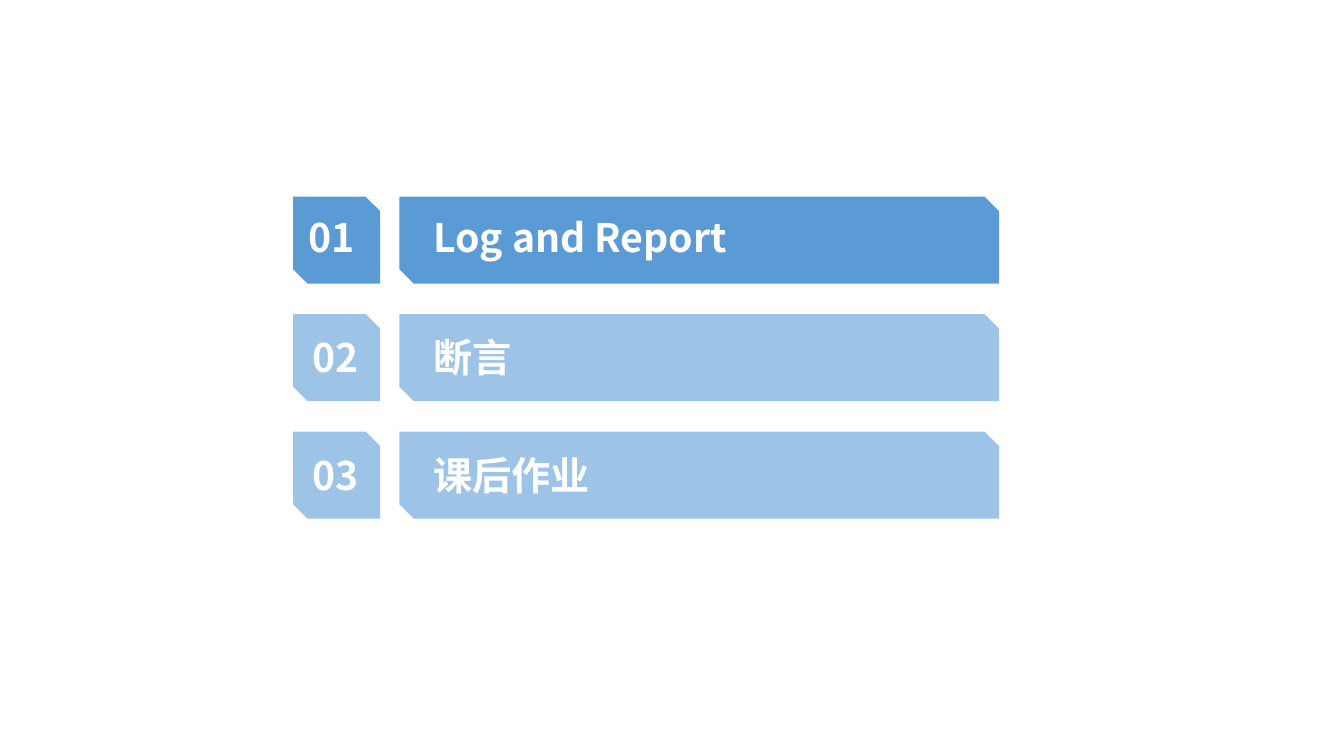
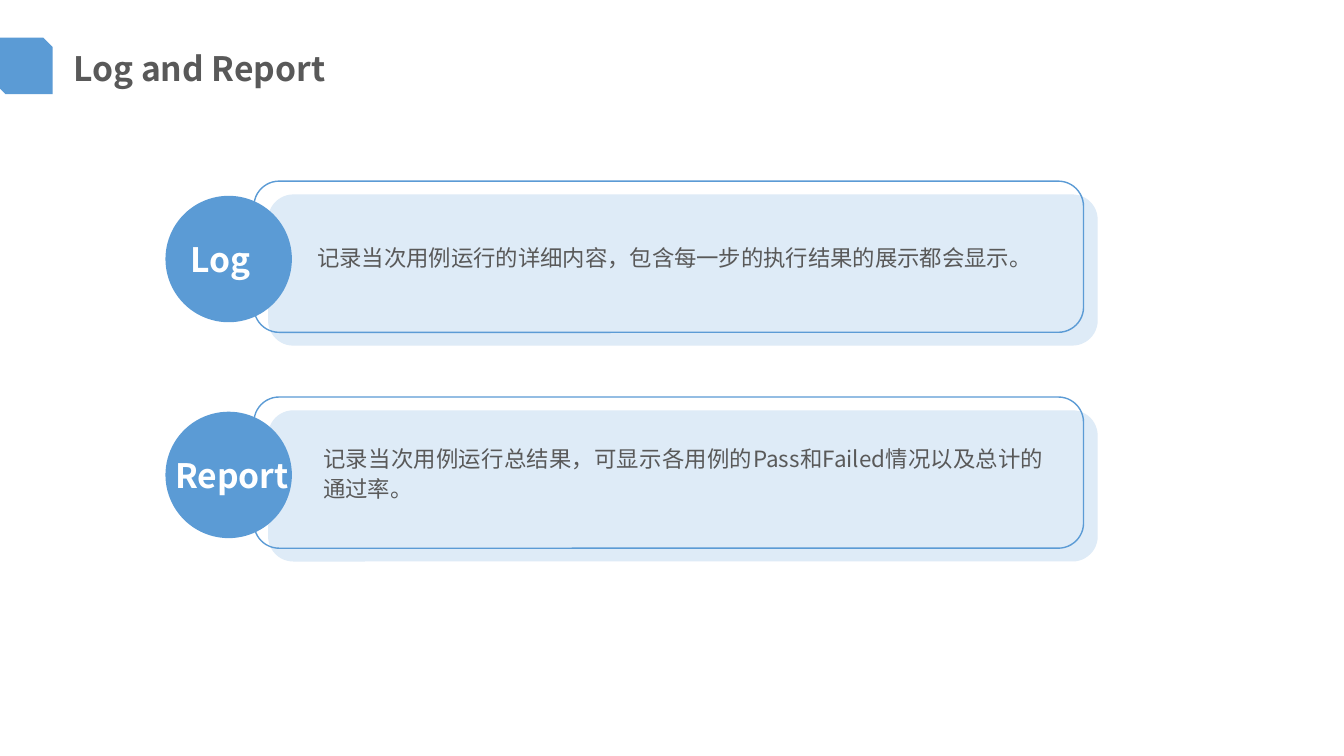
import pptx
import pptx.dml.color
import pptx.enum.shapes
import pptx.enum.text
import pptx.util
from lxml import etree

Pt = pptx.util.Pt
Shape = pptx.enum.shapes.MSO_SHAPE
Align = pptx.enum.text.PP_ALIGN
AutoSize = pptx.enum.text.MSO_AUTO_SIZE

FONT = "Noto Sans CJK SC"
COLORS = {
    "blue": "5B9BD5",
    "light": "9DC3E6",
    "pale": "DEEBF7",
    "gray": "595959",
    "white": "FFFFFF",
}


def color(name):
    return pptx.dml.color.RGBColor.from_string(COLORS[name])


def write(frame, text, size=16, ink="gray", bold=False, align=Align.LEFT, spacing=None):
    """Put one formatted paragraph into a text frame."""
    para = frame.paragraphs[0]
    para.alignment = align
    if spacing:
        para.line_spacing = spacing
    span = para.add_run()
    span.text = text
    span.font.name = FONT
    span.font.size = Pt(size)
    span.font.bold = bold
    span.font.color.rgb = color(ink)
    # Chinese characters take their font from a:ea
    properties = span.font._element
    latin = properties.find(pptx.oxml.ns.qn("a:latin"))
    east_asian = etree.Element(pptx.oxml.ns.qn("a:ea"), typeface=FONT)
    latin.addnext(east_asian)


class Slides:
    """Holds the deck, its style and the current page."""

    def __init__(self):
        self.deck = pptx.Presentation()
        self.deck.slide_width = Pt(960)
        self.deck.slide_height = Pt(540)
        self.page = None

    def new_page(self):
        self.page = self.deck.slides.add_slide(self.deck.slide_layouts[6])

    def shape(self, kind, left, top, width, height, fill=None, line=None):
        shape = self.page.shapes.add_shape(kind, Pt(left), Pt(top), Pt(width), Pt(height))
        shape.shadow.inherit = False
        if fill:
            shape.fill.solid()
            shape.fill.fore_color.rgb = color(fill)
        else:
            shape.fill.background()
        if line:
            shape.line.color.rgb = color(line)
            shape.line.width = Pt(1)
        else:
            shape.line.fill.background()

    def text(self, text, left, top, width, height, wrap=False, **style):
        box = self.page.shapes.add_textbox(Pt(left), Pt(top), Pt(width), Pt(height))
        box.text_frame.word_wrap = wrap
        box.text_frame.auto_size = AutoSize.SHAPE_TO_FIT_TEXT
        write(box.text_frame, text, **style)

    def title(self, text):
        self.shape(Shape.SNIP_2_DIAG_RECTANGLE, -2.8, 26.8, 40.4, 40.4, fill="blue")
        self.text(text, 45.4, 31, 201.6, 36, size=24, bold=True)

    def agenda_row(self, top, number, label, fill, number_left, text_top, label_width):
        for left, width in ((209.4, 62.2), (285.2, 428.4)):
            self.shape(Shape.SNIP_2_DIAG_RECTANGLE, left, top, width, 62.2, fill=fill)
        style = dict(size=28, ink="white", bold=True)
        self.text(number, number_left, text_top, 49, 41, **style)
        self.text(label, 302.4, text_top, label_width, 41, **style)

    def card(self, top, name, name_box, detail, detail_box):
        self.shape(Shape.ROUNDED_RECTANGLE, 191.5, top + 9.5, 592.6, 108, fill="pale")
        self.shape(Shape.OVAL, 118.2, top + 10.5, 90.3, 90.3, fill="blue")
        self.shape(Shape.ROUNDED_RECTANGLE, 181.4, top, 592.6, 108, line="blue")
        self.text(name, *name_box, wrap=True, size=24, ink="white", bold=True)
        self.text(detail, *detail_box, wrap=True, align=Align.JUSTIFY, spacing=1.1)


def main():
    slides = Slides()

    # Agenda
    slides.new_page()
    rows = [
        ("01", "Log and Report", "blue", 213.1, 149, 232.6),
        ("02", "断言", "light", 216, 234.7, 70.6),
        ("03", "课后作业", "light", 216, 318.5, 126.7),
    ]
    for index, row in enumerate(rows):
        slides.agenda_row(140.5 + 83.9 * index, *row)

    # Log and report
    slides.new_page()
    slides.title("Log and Report")
    slides.card(
        129.4,
        "Log", (128.9, 167, 79.2, 36),
        "记录当次用例运行的详细内容，包含每一步的执行结果的展示都会显示。",
        (219.6, 169.2, 528.5, 28.8),
    )
    slides.card(
        283.6,
        "Report", (118.1, 321.1, 101.5, 36),
        "记录当次用例运行总结果，可显示各用例的Pass和Failed情况以及总计的通过率。",
        (223.9, 312.5, 528.5, 49.7),
    )

    slides.deck.save("out.pptx")


if __name__ == "__main__":
    main()
